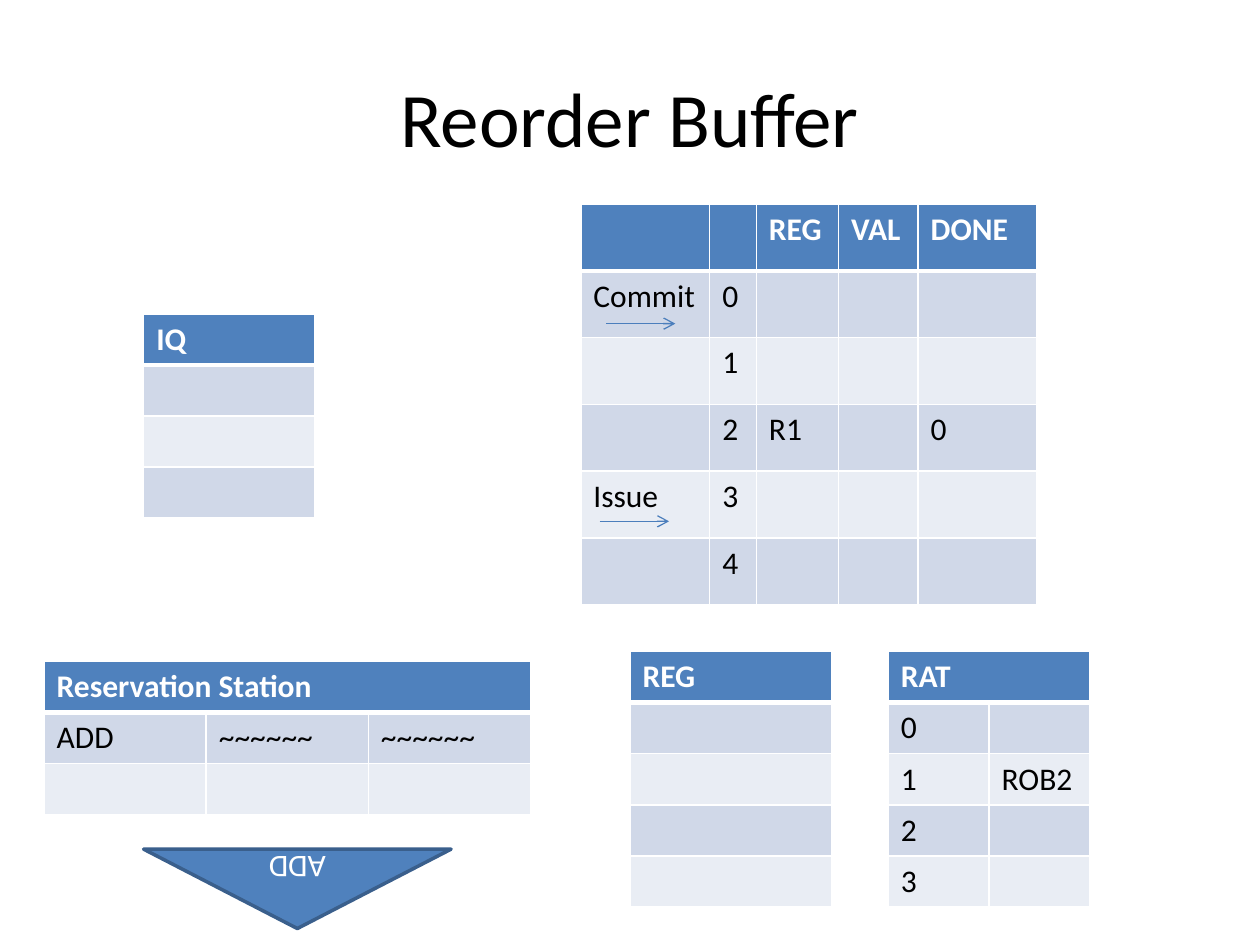
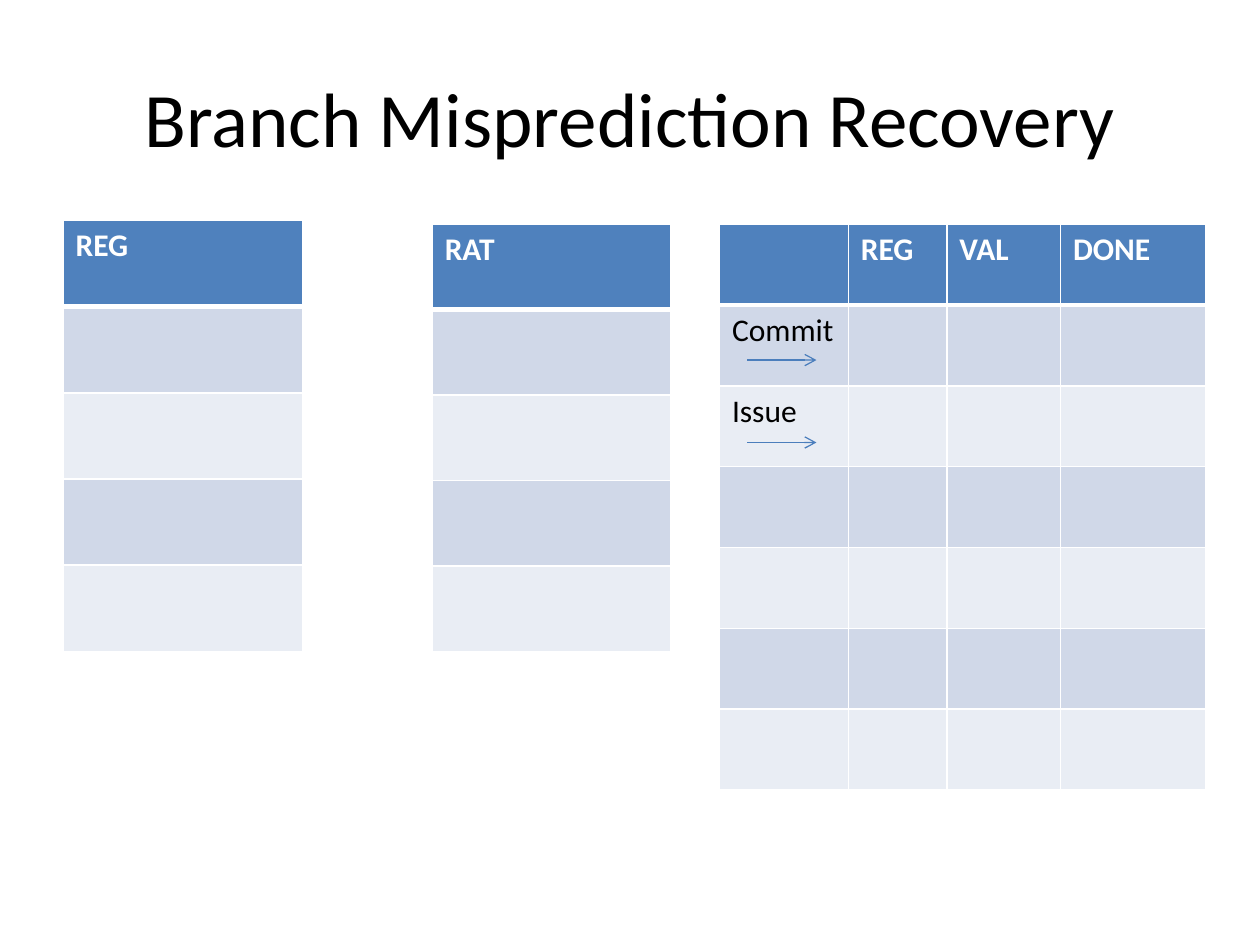
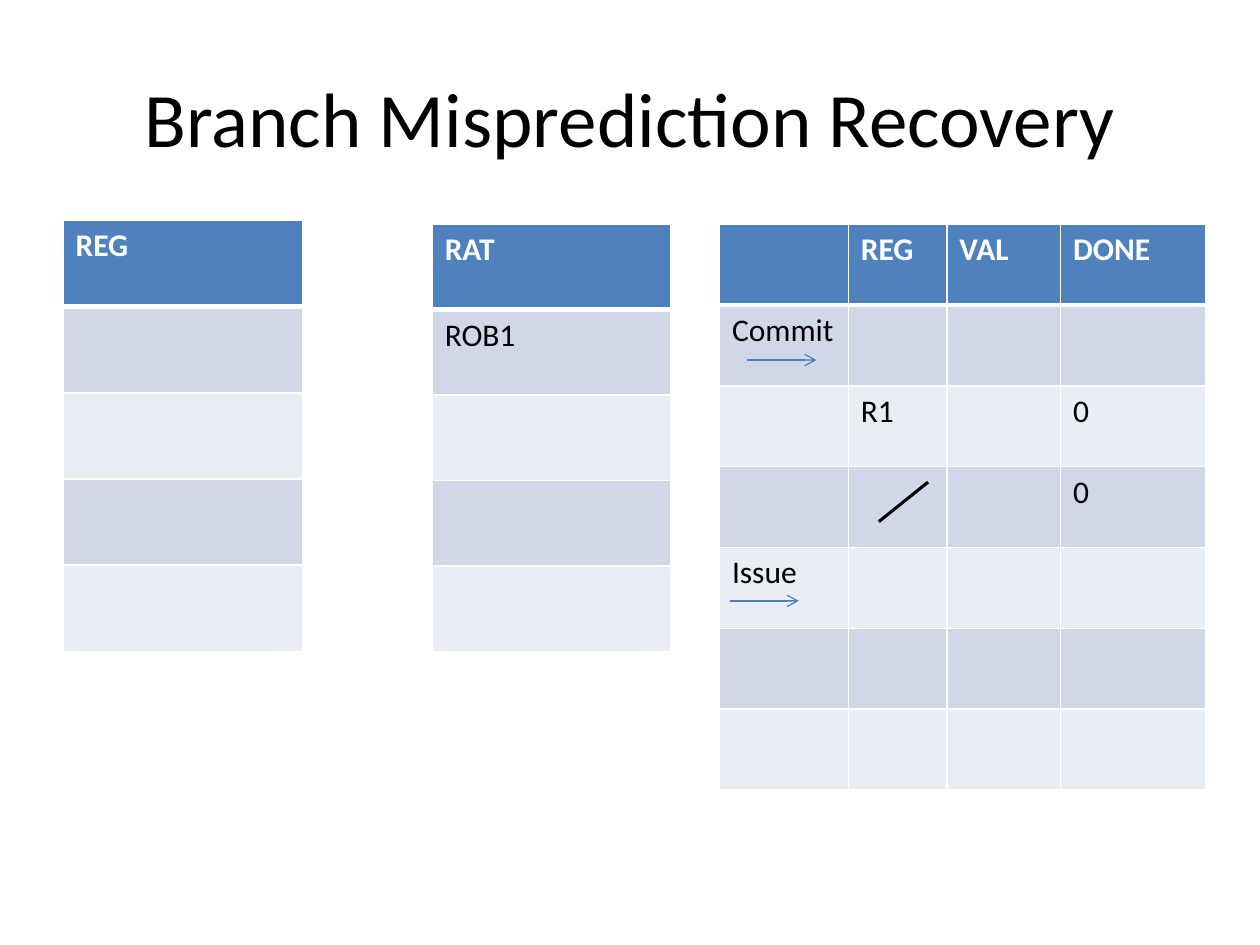
import pptx
import pptx.util
import pptx.dml.color
import pptx.enum.shapes
import pptx.enum.text
import pptx.oxml
from dataclasses import dataclass
from pptx.oxml.ns import qn

SLIDE_WIDTH = pptx.util.Inches(10)
SLIDE_HEIGHT = pptx.util.Inches(7.5)
GRID_COLUMNS, GRID_ROWS = 100, 75
COLUMN = SLIDE_WIDTH / GRID_COLUMNS
ROW = SLIDE_HEIGHT / GRID_ROWS


@dataclass(frozen=True)
class Theme:
    font: str = "Calibri"
    title_size: float = 44
    text_size: float = 18
    ink: str = "000000"
    paper: str = "FFFFFF"
    header: str = "4F81BD"
    bands: tuple = ("D0D8E8", "E9EDF4")
    outline: str = "3A5F8C"
    pointer: str = "4B7EBC"
    rule: float = 1
    header_rule: float = 3
    pointer_width: float = 0.75
    strike_width: float = 1.75
    outline_width: float = 2


@dataclass(frozen=True)
class Box:
    """A region measured in grid columns and rows."""
    left: float
    top: float
    width: float
    height: float

    def emu(self):
        return (round(self.left * COLUMN), round(self.top * ROW),
                round(self.width * COLUMN), round(self.height * ROW))


THEME = Theme()
TITLE_BOX = Box(5, 3, 90, 12.5)
POINTER_LENGTH = 5.5


def rgb(value):
    return pptx.dml.color.RGBColor.from_string(value)


def write(frame, text, size, color, bold=False, align=None):
    paragraph = frame.paragraphs[0]
    paragraph.alignment = align
    run = paragraph.add_run()
    run.text = text
    run.font.color.rgb = rgb(color)
    formats = {"name": THEME.font, "size": pptx.util.Pt(size), "bold": bold}
    for attribute, value in formats.items():
        setattr(run.font, attribute, value)


def add_titled_slide(deck, title):
    slide = deck.slides.add_slide(deck.slide_layouts[5])
    heading = slide.shapes.title
    places = zip(("left", "top", "width", "height"), TITLE_BOX.emu())
    for attribute, value in places:
        setattr(heading, attribute, value)
    heading.text_frame.vertical_anchor = pptx.enum.text.MSO_ANCHOR.MIDDLE
    write(heading.text_frame, title, THEME.title_size, THEME.ink,
          align=pptx.enum.text.PP_ALIGN.CENTER)
    return slide


# Tables
def set_borders(cell, widths):
    properties = cell._tc.get_or_add_tcPr()
    for side, width in widths.items():
        border = pptx.oxml.parse_xml(
            '<a:ln%s xmlns:a="http://schemas.openxmlformats.org/drawingml/2006/main" w="%d">'
            '<a:solidFill><a:srgbClr val="%s"/></a:solidFill></a:ln%s>'
            % (side, pptx.util.Pt(width), THEME.paper, side))
        properties.append(border)


def add_buffer(slide, box, headers, body, shares=(1,)):
    """Banded table; a lone header spans all columns. body maps (row, column) to text."""
    rows, entries = body
    table = slide.shapes.add_table(rows + 1, len(shares), *box.emu()).table
    for column, share in zip(table.columns, shares):
        column.width = round(box.width * COLUMN * share / sum(shares))
    texts = {(0, index): text for index, text in enumerate(headers)} | entries
    for r, row in enumerate(table.rows):
        row.height = round(box.height * ROW / (rows + 1))
        for c, cell in enumerate(row.cells):
            set_borders(cell, {
                "L": THEME.rule, "R": THEME.rule,
                "T": THEME.header_rule if r == 1 else THEME.rule,
                "B": THEME.header_rule if r == 0 else THEME.rule})
            cell.fill.solid()
            cell.fill.fore_color.rgb = rgb(THEME.bands[(r - 1) % 2] if r else THEME.header)
            if texts.get((r, c)):
                write(cell.text_frame, texts[r, c], THEME.text_size,
                      THEME.ink if r else THEME.paper, bold=r == 0)
    if len(headers) < len(shares):
        table.cell(0, 0).merge(table.cell(0, len(shares) - 1))


# Lines
def add_line(slide, start, end, color, width, arrow=False):
    ends = [round(value * unit) for point in (start, end)
            for value, unit in zip(point, (COLUMN, ROW))]
    line = slide.shapes.add_connector(pptx.enum.shapes.MSO_CONNECTOR.STRAIGHT, *ends)
    line.line.color.rgb = rgb(color)
    line.line.width = pptx.util.Pt(width)
    if arrow:
        head = line.line._get_or_add_ln().makeelement(qn("a:tailEnd"), {"type": "arrow"})
        line.line._get_or_add_ln().append(head)
    properties = line._element.spPr
    properties.append(properties.makeelement(qn("a:effectLst"), {}))


def add_pointers(slide, box, table_rows, pointers):
    """Each pointer: table row, inset in grid columns, share of the row's height."""
    step = box.height / table_rows
    for row, inset, drop in pointers:
        x, y = box.left + inset, box.top + (row + drop) * step
        add_line(slide, (x, y), (x + POINTER_LENGTH, y),
                 THEME.pointer, THEME.pointer_width, arrow=True)


# Adder below the reservation station
def add_adder(slide, box):
    adder = slide.shapes.add_shape(
        pptx.enum.shapes.MSO_SHAPE.FLOWCHART_EXTRACT, *box.emu())
    adder._element.spPr.xfrm.set("flipV", "1")
    adder.shadow.inherit = False
    adder.fill.solid()
    adder.fill.fore_color.rgb = rgb(THEME.header)
    adder.line.color.rgb = rgb(THEME.outline)
    adder.line.width = pptx.util.Pt(THEME.outline_width)
    adder.text_frame.vertical_anchor = pptx.enum.text.MSO_ANCHOR.MIDDLE
    write(adder.text_frame, "ADD", THEME.text_size, THEME.paper,
          align=pptx.enum.text.PP_ALIGN.CENTER)


def build_reorder_slide(deck):
    slide = add_titled_slide(deck, "Reorder Buffer")

    # Reorder buffer with numbered entries
    reorder = Box(46.1, 16.2, 36.2, 31.8)
    entries = {(n + 1, 1): str(n) for n in range(5)}
    entries |= {(1, 0): "Commit", (5 - 1, 0): "Issue", (3, 2): "R1", (3, 4): "0"}
    add_buffer(slide, reorder, ("", "", "REG", "VAL", "DONE"), (5, entries),
               (1.02, 0.37, 0.65, 0.63, 0.94))

    # Register alias table and registers
    aliases = {(n + 1, 0): str(n) for n in range(4)} | {(2, 1): "ROB2"}
    add_buffer(slide, Box(70.5, 51.7, 16, 20.3), ("RAT",), (4, aliases), (1, 1))
    add_buffer(slide, Box(50, 51.7, 16, 20.3), ("REG",), (4, {}))

    # Reservation station, adder and instruction queue
    operands = {(1, 0): "ADD", (1, 1): "~~~~~~", (1, 2): "~~~~~~"}
    add_buffer(slide, Box(3.5, 52.5, 38.6, 12), ("Reservation Station",),
               (2, operands), (1, 1, 1))
    add_adder(slide, Box(11.4, 67.4, 24.4, 6.3))
    add_buffer(slide, Box(11.4, 24.9, 13.6, 16.2), ("IQ",), (3, {}))
    add_pointers(slide, reorder, 6, ((4, 1.5, 0.75), (1, 2, 0.79)))


def build_recovery_slide(deck, alias_entries, reorder_entries, pointers, struck=None):
    slide = add_titled_slide(deck, "Branch Misprediction Recovery")
    add_buffer(slide, Box(5, 17.5, 19, 34.2), ("REG",), (4, {}))
    add_buffer(slide, Box(34.3, 17.8, 18.9, 33.9), ("RAT",), (4, alias_entries))

    # Reorder buffer with its commit and issue pointers
    reorder = Box(57.1, 17.8, 38.6, 44.9)
    shares = (1.02, 0.78, 0.9, 1.15)
    add_buffer(slide, reorder, ("", "REG", "VAL", "DONE"), (6, reorder_entries), shares)
    add_pointers(slide, reorder, 7, pointers)

    # Stroke through a discarded entry
    if struck:
        row, column = struck
        unit, step = reorder.width / sum(shares), reorder.height / 7
        left = reorder.left + sum(shares[:column]) * unit
        width, top = shares[column] * unit, reorder.top + row * step
        add_line(slide, (left + 0.31 * width, top + 0.68 * step),
                 (left + 0.81 * width, top + 0.19 * step),
                 THEME.ink, THEME.strike_width)


def main():
    deck = pptx.Presentation()
    deck.slide_width, deck.slide_height = SLIDE_WIDTH, SLIDE_HEIGHT
    build_reorder_slide(deck)
    build_recovery_slide(deck, {}, {(1, 0): "Commit", (2, 0): "Issue"},
                         ((1, 2.2, 0.68), (2, 2.2, 0.7)))
    build_recovery_slide(
        deck, {(1, 0): "ROB1"},
        {(1, 0): "Commit", (2, 1): "R1", (2, 3): "0", (3, 3): "0", (4, 0): "Issue"},
        ((1, 2.2, 0.68), (4, 0.8, 0.66)), struck=(3, 1))
    deck.save("out.pptx")


if __name__ == "__main__":
    main()
